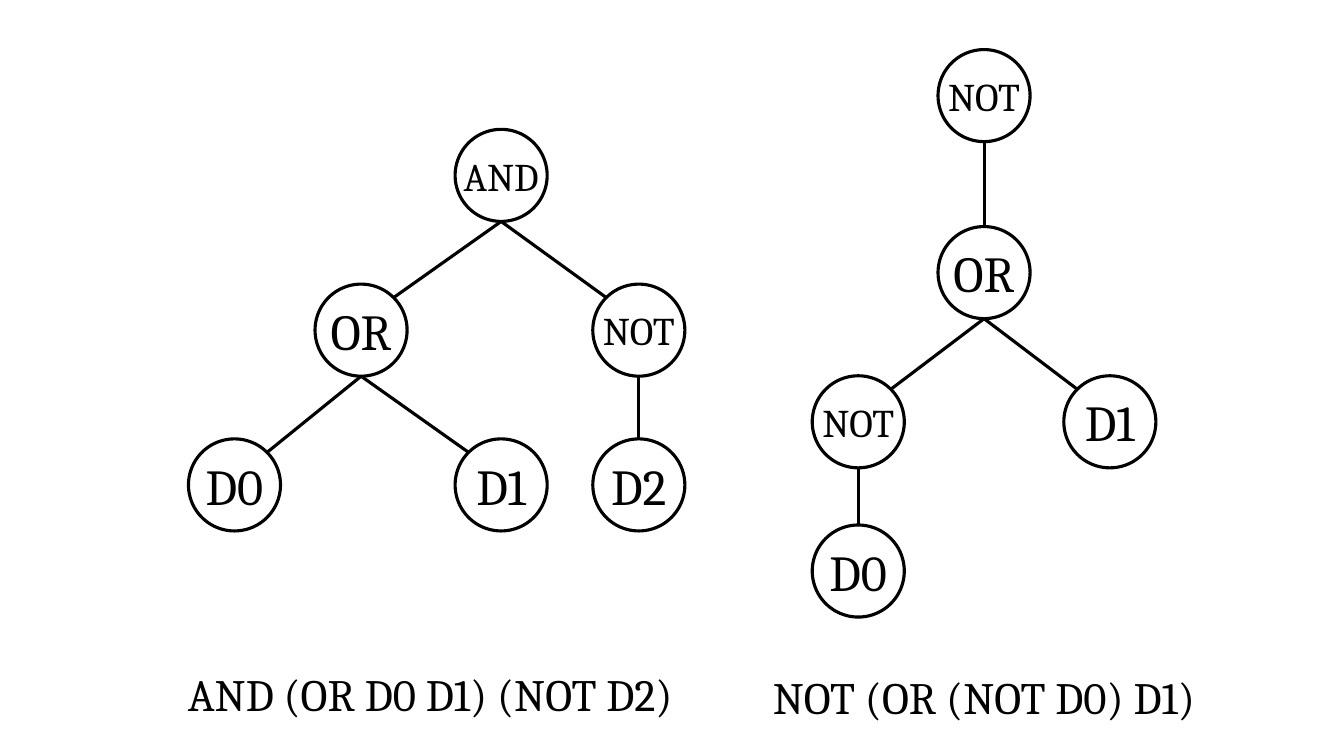
from math import sqrt

from lxml.etree import SubElement
from pptx import Presentation
from pptx.dml.color import RGBColor
from pptx.enum.shapes import MSO_CONNECTOR, MSO_SHAPE
from pptx.enum.text import MSO_ANCHOR, PP_ALIGN
from pptx.oxml.ns import qn
from pptx.util import Cm, Pt

COLOURS = {"ink": "000000", "paper": "FFFFFF"}
FONT = "Cambria"
RADIUS = 1.16


def colour(name):
    """Return the named colour."""
    return RGBColor.from_string(COLOURS[name])


def write(shape, text, size=36, wrap=False, ink="ink"):
    """Put centred text into a shape."""
    tf = shape.text_frame
    tf.word_wrap = wrap
    tf.vertical_anchor = MSO_ANCHOR.MIDDLE
    tf.margin_left = tf.margin_right = tf.margin_top = tf.margin_bottom = 0
    p = tf.paragraphs[0]
    p.alignment = PP_ALIGN.CENTER
    r = p.add_run()
    r.text = text
    r.font.name, r.font.size = FONT, Pt(size)
    r.font.color.rgb = colour(ink)


class TreeSlide:
    """A slide of expression trees with one line style."""

    def __init__(self, prs, line_width=2.25):
        """Add a blank slide."""
        self.s = prs.slides.add_slide(prs.slide_layouts[6])
        self.line_width = Pt(line_width)

    def outline(self, line):
        """Apply the common line style."""
        line.color.rgb = colour("ink")
        line.width = self.line_width

    def node(self, text, x, y):
        """Draw a labelled circle centred on x, y."""
        sp = self.s.shapes.add_shape(
            MSO_SHAPE.OVAL, Cm(x - RADIUS), Cm(y - RADIUS), Cm(2 * RADIUS), Cm(2 * RADIUS))
        sp.shadow.inherit = False
        sp.fill.solid()
        sp.fill.fore_color.rgb = colour("paper")
        self.outline(sp.line)
        write(sp, text, size=28 if len(text) > 2 else 36)

    def edge(self, parent, child):
        """Join the foot of a parent to the top or upper corner of its child."""
        (x1, y1), (x2, y2) = parent, child
        reach = RADIUS / sqrt(2)
        if x1 == x2:
            end = x2, y2 - RADIUS
        else:
            end = x2 + (reach if x1 > x2 else -reach), y2 - reach
        line = self.s.shapes.add_connector(
            MSO_CONNECTOR.STRAIGHT, Cm(x1), Cm(y1 + RADIUS), Cm(end[0]), Cm(end[1]))
        SubElement(line._element.spPr, qn("a:effectLst"))
        self.outline(line.line)

    def tree(self, tree, parent=None):
        """Draw a (text, x, y, children) tree."""
        text, x, y, children = tree
        self.node(text, x, y)
        if parent:
            self.edge(parent, (x, y))
        for child in children:
            self.tree(child, (x, y))

    def caption(self, text, x, y, width, height=1.62):
        """Write an expression below its tree."""
        box = self.s.shapes.add_textbox(Cm(x), Cm(y), Cm(width), Cm(height))
        write(box, text, size=32, wrap=True)


prs = Presentation()
prs.slide_width, prs.slide_height = Cm(33.87), Cm(19.05)
slide = TreeSlide(prs)

top, middle, bottom = (4.42 + 3.9 * level for level in range(3))
and_tree = ("AND", 12.63, top, [
    ("OR", 9.1, middle, [("D0", 5.91, bottom, []), ("D1", 12.63, bottom, [])]),
    ("NOT", 16.1, middle, [("D2", 16.1, bottom, [])]),
])
centre, spread = 24.8, 3.17
not_tree = ("NOT", centre, 2.41, [
    ("OR", centre, 6.87, [
        ("NOT", centre - spread, 10.63, [("D0", centre - spread, 14.39, [])]),
        ("D1", centre + spread, 10.63, []),
    ]),
])
slide.tree(and_tree)
slide.tree(not_tree)
slide.caption("AND (OR D0 D1) (NOT D2)", 3.95, 16.66, 13.8)
slide.caption("NOT (OR (NOT D0) D1)", 18.8, 16.74, 12)

prs.save("out.pptx")
